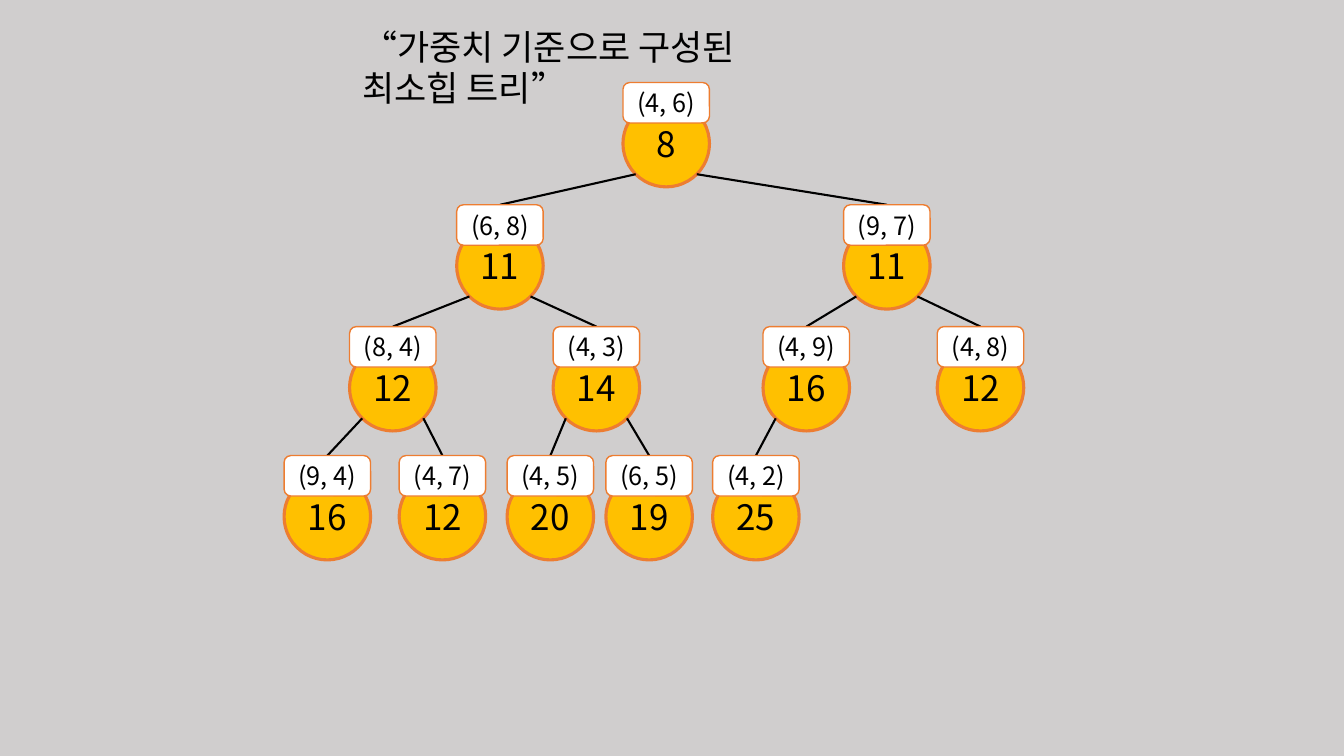
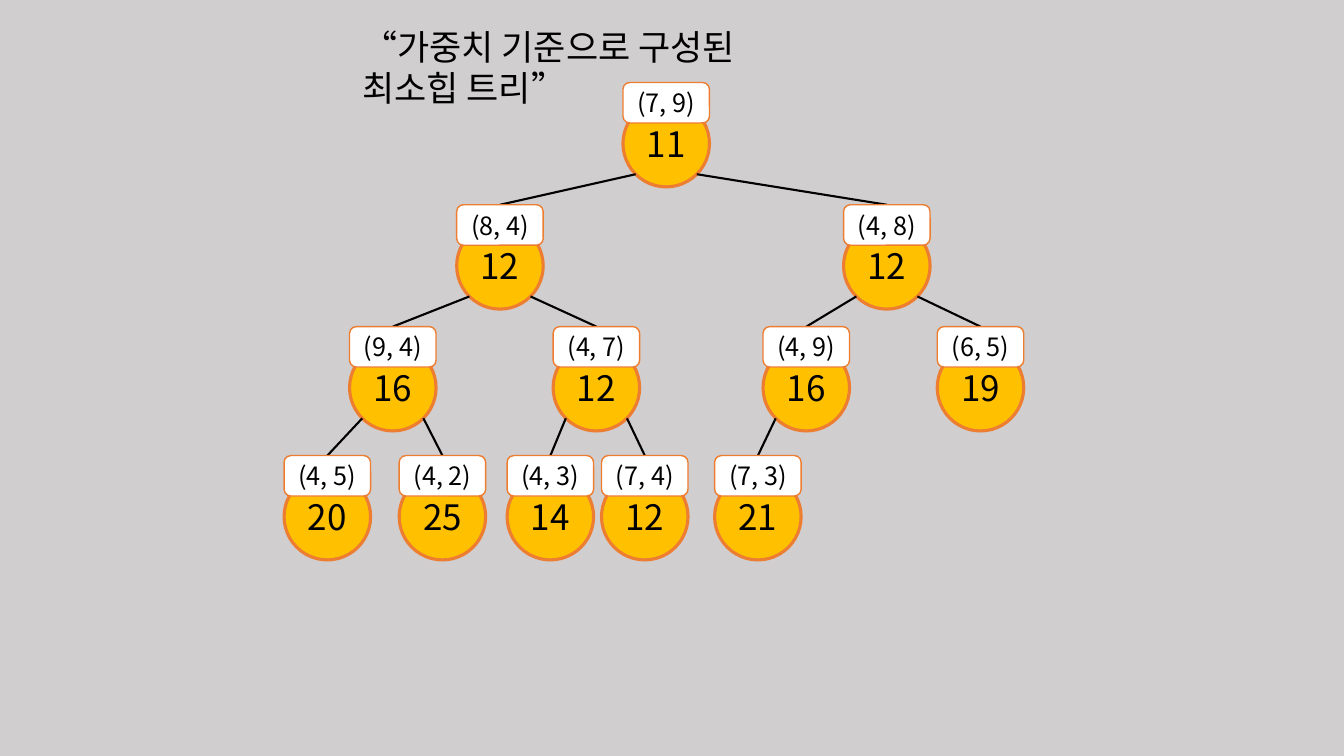
from lxml.etree import SubElement
from pptx import Presentation
from pptx.dml.color import RGBColor
from pptx.enum.shapes import MSO_CONNECTOR, MSO_SHAPE
from pptx.enum.text import MSO_ANCHOR, PP_ALIGN
from pptx.oxml.ns import qn
from pptx.util import Cm, Pt

HUES = {"back": "D0CECE", "node": "FFC000", "edge": "ED7D31",
        "card": "FFFFFF", "ink": "000000"}
FONT = "Noto Sans CJK KR"
TITLE = "“가중치 기준으로 구성된 최소힙 트리”"
TOPS = [2.08, 5.16, 8.23, 11.48]
LEFTS = [15.7, 11.51, 21.26, 8.81, 13.94, 19.23, 23.62, 7.16, 10.06, 12.78]
SIZE, CARD, DROP = 2.18, 1.02, 0.45
REACH = SIZE / 2 * 0.5 ** 0.5

TREES = [
    ([15.27, 17.96], [
        ("8", "(4, 6)"), ("11", "(6, 8)"), ("11", "(9, 7)"),
        ("12", "(8, 4)"), ("14", "(4, 3)"), ("16", "(4, 9)"),
        ("12", "(4, 8)"), ("16", "(9, 4)"), ("12", "(4, 7)"),
        ("20", "(4, 5)"), ("19", "(6, 5)"), ("25", "(4, 2)")]),
    ([15.16, 18.01], [
        ("11", "(7, 9)"), ("12", "(8, 4)"), ("12", "(4, 8)"),
        ("16", "(9, 4)"), ("12", "(4, 7)"), ("16", "(4, 9)"),
        ("19", "(6, 5)"), ("20", "(4, 5)"), ("25", "(4, 2)"),
        ("14", "(4, 3)"), ("12", "(7, 4)"), ("21", "(7, 3)")]),
]


def write(frame, text, size):
    frame.word_wrap = True
    run = frame.paragraphs[0].add_run()
    run.text = text
    run.font.size = Pt(size)
    run.font.name = FONT
    run.font.color.rgb = RGBColor.from_string(HUES["ink"])
    SubElement(run.font._element, qn("a:ea")).set("typeface", FONT)


def draw(group, kind, box, fill, width, text, size):
    shape = group.shapes.add_shape(kind, *[Cm(n) for n in box])
    shape.shadow.inherit = False
    shape.fill.solid()
    shape.fill.fore_color.rgb = RGBColor.from_string(HUES[fill])
    shape.line.color.rgb = RGBColor.from_string(HUES["edge"])
    shape.line.width = Pt(width)
    frame = shape.text_frame
    frame.vertical_anchor = MSO_ANCHOR.MIDDLE
    frame.paragraphs[0].alignment = PP_ALIGN.CENTER
    write(frame, text, size)


deck = Presentation()
deck.slide_width, deck.slide_height = Cm(33.87), Cm(19.05)

for ends, nodes in TREES:
    slide = deck.slides.add_slide(deck.slide_layouts[6])
    slide.background.fill.solid()
    slide.background.fill.fore_color.rgb = RGBColor.from_string(HUES["back"])

    title = slide.shapes.add_textbox(Cm(8.89), Cm(0.56), Cm(12.09), Cm(1.32))
    write(title.text_frame, TITLE, 25)
    title.text_frame.paragraphs[0].line_spacing = Pt(29)

    lefts = LEFTS + ends
    for i, (weight, pair) in enumerate(nodes):
        row = (i + 1).bit_length() - 1
        left, top = lefts[i], TOPS[row]
        if i:
            side = -1 if i % 2 else 1
            start = lefts[(i - 1) // 2] + SIZE / 2 + side * REACH
            low = TOPS[row - 1] + DROP + SIZE / 2 + REACH
            line = slide.shapes.add_connector(
                MSO_CONNECTOR.STRAIGHT, Cm(start), Cm(low),
                Cm(left + SIZE / 2), Cm(top))
            line.line.color.rgb = RGBColor.from_string(HUES["ink"])
            line.line.width = Pt(1.5)
            SubElement(line._element.spPr, qn("a:effectLst"))
        group = slide.shapes.add_group_shape()
        draw(group, MSO_SHAPE.OVAL, (left, top + DROP, SIZE, SIZE),
             "node", 2.25, weight, 25)
        draw(group, MSO_SHAPE.ROUNDED_RECTANGLE, (left, top, SIZE, CARD),
             "card", 1, pair, 18)

deck.save("out.pptx")
